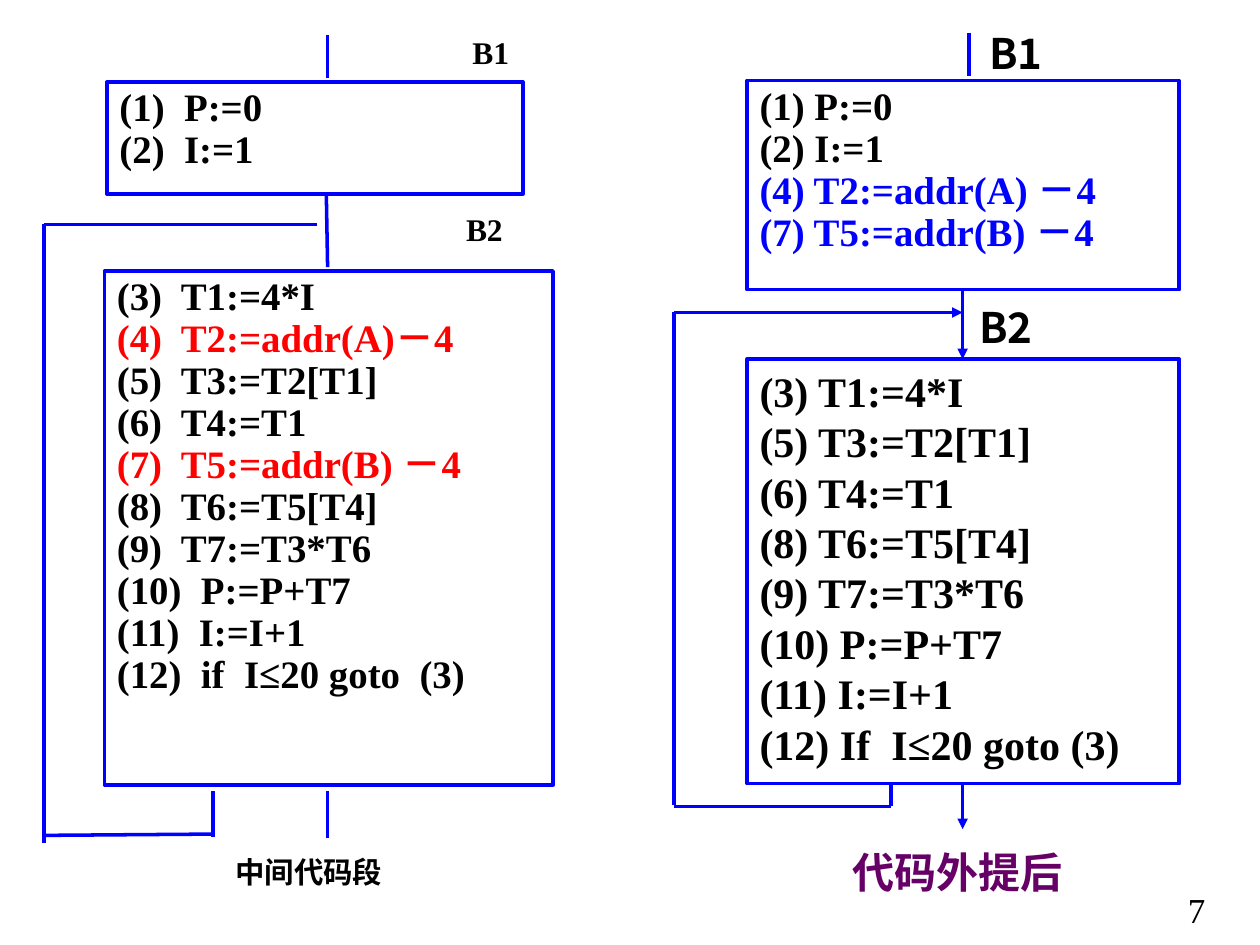
"""Build a slide comparing a loop's flow graph before and after code motion."""
from lxml import etree
from pptx import Presentation
from pptx import util as u
from pptx.dml.color import RGBColor
from pptx.enum import shapes, text
from pptx.oxml.ns import qn

BLACK = RGBColor(0, 0, 0)
WHITE = RGBColor(255, 255, 255)
BLUE = RGBColor(0, 0, 255)
RED = RGBColor(255, 0, 0)
PURPLE = RGBColor(0x66, 0, 0x66)
SERIF, SANS = "Times New Roman", "Noto Sans CJK SC"
PX = u.Inches(1) // 100

# left, top, width, height, size, line spacing, highlight colour, highlighted numbers, lines
BLOCKS = [
    (85, 65, 330, 89, 22.2, 0.9, BLACK, (), ["(1)  P:=0", "(2)  I:=1"]),
    (83, 215, 356, 408, 22.2, 0.9, RED, ("(4)", "(7)"), [
        "(3)  T1:=4*I", "(4)  T2:=addr(A)－4", "(5)  T3:=T2[T1]", "(6)  T4:=T1",
        "(7)  T5:=addr(B) －4", "(8)  T6:=T5[T4]", "(9)  T7:=T3*T6",
        "(10)  P:=P+T7", "(11)  I:=I+1", "(12)  if  I≤20 goto  (3)"]),
    (593, 64, 343, 166, 22.2, 0.9, BLUE, ("(4)", "(7)"), [
        "(1) P:=0", "(2) I:=1", "(4) T2:=addr(A) －4", "(7) T5:=addr(B) －4"]),
    (593, 285, 343, 337, 24, 1.0, BLACK, (), [
        "(3) T1:=4*I", "(5) T3:=T2[T1]", "(6) T4:=T1", "(8) T6:=T5[T4]",
        "(9) T7:=T3*T6", "(10) P:=P+T7", "(11) I:=I+1", "(12) If  I≤20 goto (3)"]),
]
# left, top, width, height, words, size, line spacing
TAGS = [
    (177, 678, 197, 40, "中间代码段", 16.8, 0.8),
    (365, 21, 51, 40, "B1", 18, 1.0),
    (360, 162, 51, 40, "B2", 18, 1.0),
]
# left, top, width, height, words, size, font, bold, colour, side inset, top inset
CAPTIONS = [
    (677, 672, 183, 40, "代码外提后", 24, SANS, True, PURPLE, 0, 0),
    (785, 22, 51, 40, "B1", 24, SANS, True, BLACK, 0, 0),
    (777, 239, 51, 40, "B2", 24, SANS, True, BLACK, 0, 0),
    (933, 700, 67, 44, "7", 20, SERIF, False, BLACK, 10, 5),
]
LINES = [
    (169, 628, 169, 664), (169, 662, 35, 663), (35, 669, 35, 178), (35, 178, 252, 178),
    (259, 154, 260, 212), (260, 28, 260, 62), (260, 628, 260, 665),
    (707, 622, 707, 640), (535, 640, 707, 640), (535, 639, 535, 248), (769, 26, 769, 60),
]
ARROWS = [(764, 230, 764, 285), (764, 622, 764, 658), (535, 248, 764, 248)]


def scaled(*lengths):
    return [n * PX for n in lengths]


def set_frame(tf, side, top):
    tf.word_wrap = True
    tf.vertical_anchor = text.MSO_ANCHOR.TOP
    tf.margin_left = tf.margin_right = side * PX
    tf.margin_top = tf.margin_bottom = top * PX


def style(p, words, size, font, bold, colour):
    p.text = words
    p.font.size, p.font.name, p.font.bold = u.Pt(size), font, bold
    p.font.color.rgb = colour


def add_box(s, place, size, spacing, lines, outlined):
    sp = s.shapes.add_shape(shapes.MSO_SHAPE.RECTANGLE, *scaled(*place))
    sp.shadow.inherit = False
    sp.fill.solid()
    sp.fill.fore_color.rgb = WHITE
    if outlined:
        sp.line.color.rgb, sp.line.width = BLUE, u.Pt(2)
    else:
        sp.line.fill.background()
    tf = sp.text_frame
    set_frame(tf, 10, 5)
    for i, (words, colour) in enumerate(lines):
        p = tf.add_paragraph() if i else tf.paragraphs[0]
        p.alignment, p.line_spacing = text.PP_ALIGN.JUSTIFY, spacing
        style(p, words, size, SERIF, True, colour)


def add_line(s, ends, arrow):
    line = s.shapes.add_connector(shapes.MSO_CONNECTOR.STRAIGHT, *scaled(*ends))
    line.line.color.rgb, line.line.width = BLUE, u.Pt(2)
    if arrow:
        etree.SubElement(line.line._get_or_add_ln(), qn("a:tailEnd"), type="triangle")
    etree.SubElement(line._element.spPr, qn("a:effectLst"))


def main():
    prs = Presentation()
    prs.slide_width, prs.slide_height = scaled(1000, 750)
    s = prs.slides.add_slide(prs.slide_layouts[6])
    for *place, size, spacing, accent, marked, lines in BLOCKS:
        coloured = [(t, accent if t.split()[0] in marked else BLACK) for t in lines]
        add_box(s, place, size, spacing, coloured, True)
    for *place, words, size, spacing in TAGS:
        add_box(s, place, size, spacing, [(words, BLACK)], False)
    for ends in LINES:
        add_line(s, ends, False)
    for ends in ARROWS:
        add_line(s, ends, True)
    for *place, words, size, font, bold, colour, side, top in CAPTIONS:
        tf = s.shapes.add_textbox(*scaled(*place)).text_frame
        set_frame(tf, side, top)
        tf.auto_size = text.MSO_AUTO_SIZE.SHAPE_TO_FIT_TEXT
        style(tf.paragraphs[0], words, size, font, bold, colour)
    prs.save("out.pptx")


if __name__ == "__main__":
    main()
